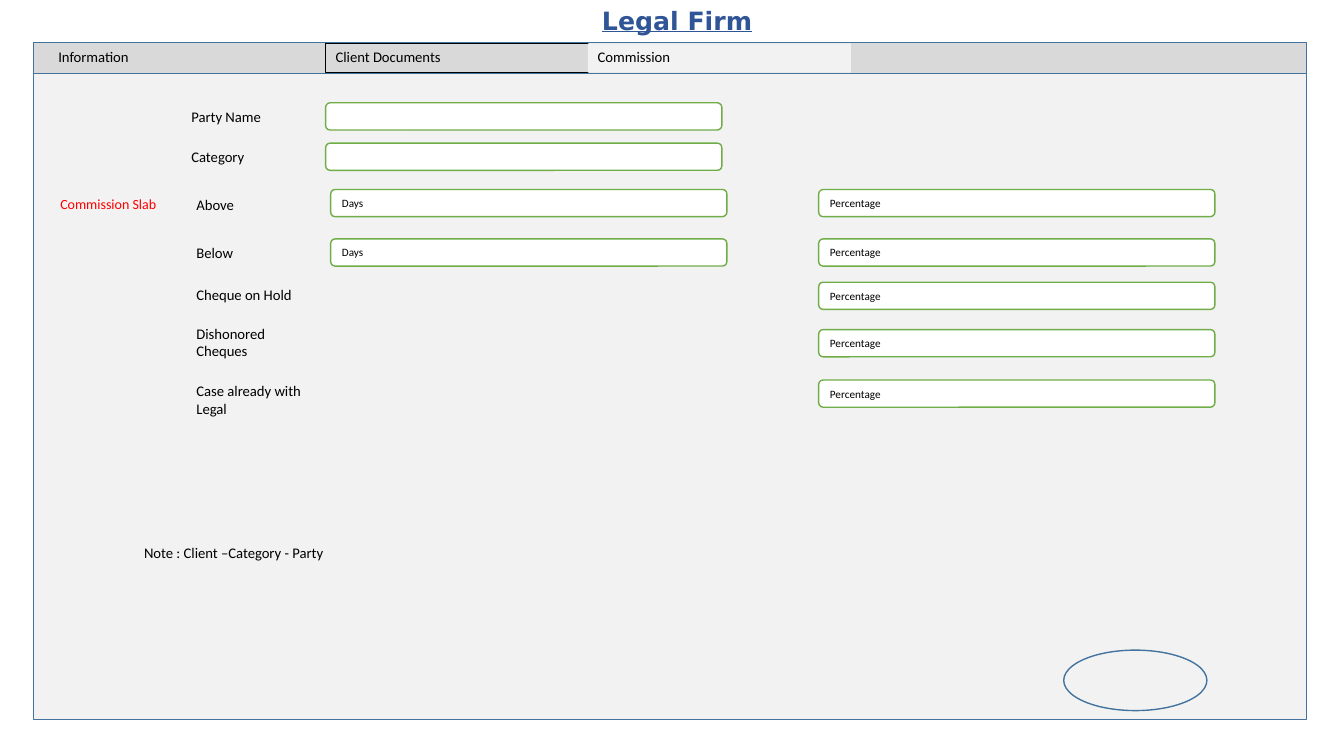
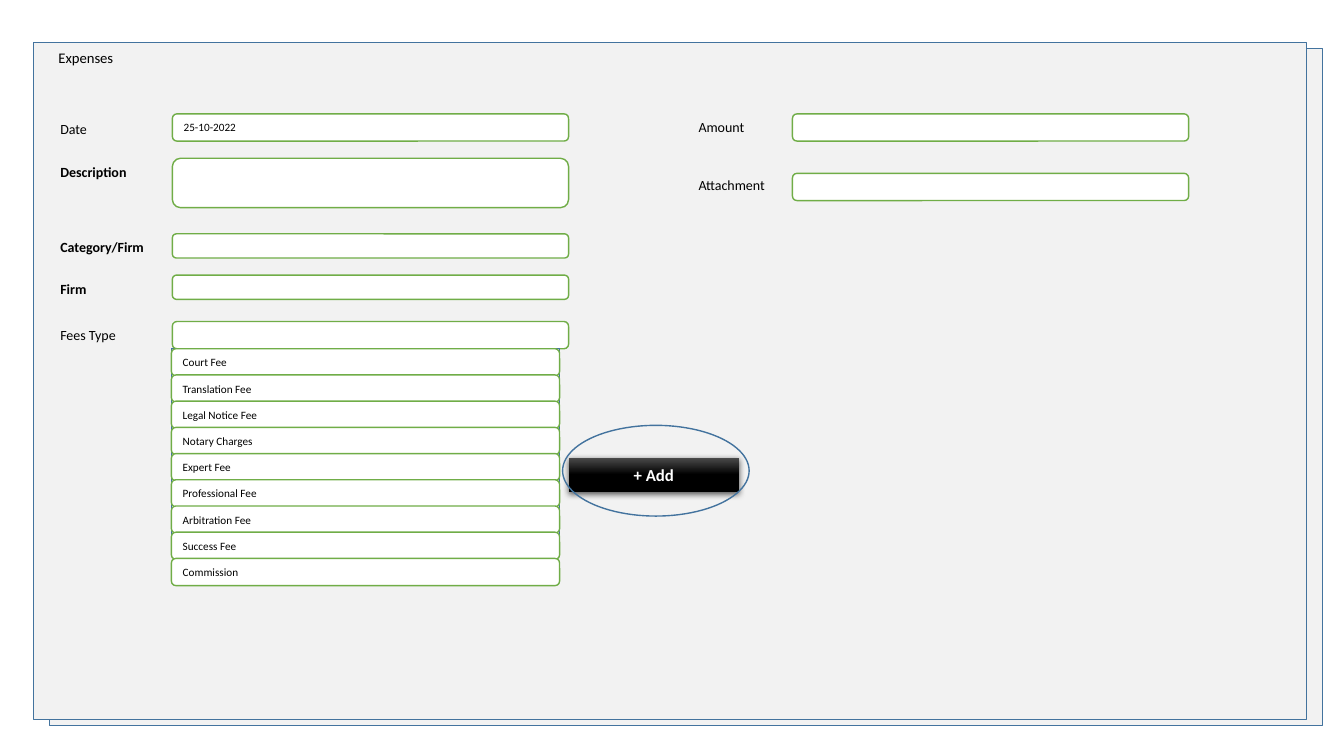
from lxml.etree import SubElement
from pptx import Presentation
from pptx.dml.color import RGBColor
from pptx.enum.shapes import MSO_SHAPE
from pptx.enum.text import MSO_ANCHOR, MSO_AUTO_SIZE, PP_ALIGN
from pptx.oxml.ns import qn
from pptx.util import Pt

PX = 9144  # one px is a hundredth of an inch


def emu(*sizes):
    return [size * PX for size in sizes]


def rgb(code):
    return RGBColor.from_string(code)


class Form:
    """Holds the form style and the slide being filled."""

    FONT, HEAD = "Calibri", "DejaVu Sans"
    INK, WHITE, RED, NAVY = "000000", "FFFFFF", "FF0000", "2F5597"
    PANEL, BAND, EDGE, GREEN = "F2F2F2", "D9D9D9", "43739E", "70AD47"
    LEFT, TOP, WIDE, TALL = 33, 42, 1263, 672

    def __init__(self):
        self.deck = Presentation()
        self.deck.slide_width, self.deck.slide_height = emu(1333, 750)

    def start(self):
        self.slide = self.deck.slides.add_slide(self.deck.slide_layouts[5])

    def words(self, shape, text, size=10.5, color=INK, bold=False, font=FONT,
              align=PP_ALIGN.LEFT, anchor=MSO_ANCHOR.TOP):
        frame = shape.text_frame
        frame.word_wrap = True
        frame.auto_size = MSO_AUTO_SIZE.NONE
        frame.vertical_anchor = anchor
        line = frame.paragraphs[0]
        line.alignment = align
        run = line.add_run()
        run.text = text
        run.font.name, run.font.size = font, Pt(size)
        run.font.bold, run.font.color.rgb = bold, rgb(color)
        return run

    def title(self, text, x, y, w, h, **style):
        """Fill the title placeholder and bring it to the front."""
        head = self.slide.shapes.title
        head.left, head.top, head.width, head.height = emu(x, y, w, h)
        self.slide.shapes.element.append(head.element)
        return self.words(head, text, **style)

    def box(self, x, y, w, h, fill=None, edge=None, weight=1,
            kind=MSO_SHAPE.RECTANGLE):
        shape = self.slide.shapes.add_shape(kind, *emu(x, y, w, h))
        shape.shadow.inherit = False
        if fill:
            shape.fill.solid()
            shape.fill.fore_color.rgb = rgb(fill)
        else:
            shape.fill.background()
        if edge:
            shape.line.color.rgb = rgb(edge)
            shape.line.width = Pt(weight)
        else:
            shape.line.fill.background()
        return shape

    def panel(self, dx=0, dy=0):
        self.box(self.LEFT + dx, self.TOP + dy, self.WIDE, self.TALL,
                 self.PANEL, self.EDGE)

    def tab(self, text, x, fill, edge=None):
        self.words(self.box(x, 43, 261, 29, fill, edge, 0.75), text)

    def field(self, x, y, text="", w=393, h=27):
        shape = self.box(x, y, w, h, self.WHITE, self.GREEN,
                         kind=MSO_SHAPE.ROUNDED_RECTANGLE)
        if text:
            self.words(shape, text, 8, anchor=MSO_ANCHOR.MIDDLE)

    def label(self, text, x, y, w=120, h=28, **style):
        self.words(self.slide.shapes.add_textbox(*emu(x, y, w, h)),
                   text, **style)

    def ring(self, x, y, w, h):
        self.box(x, y, w, h, edge=self.EDGE, kind=MSO_SHAPE.OVAL)

    def button(self, text, x, y, w, h):
        shape = self.box(x, y, w, h)
        shape.fill.gradient()
        shape.fill.gradient_angle = 270
        stops = shape.fill.gradient_stops
        for stop, place, code in zip(stops, (0, 0.5), ("4B4B4B", self.INK)):
            stop.position, stop.color.rgb = place, rgb(code)
        glow = SubElement(shape.element.spPr.find(qn("a:effectLst")),
                          qn("a:outerShdw"), blurRad="57150", dist="19050",
                          dir="5400000", algn="ctr", rotWithShape="0")
        tint = SubElement(glow, qn("a:srgbClr"), val=self.INK)
        SubElement(tint, qn("a:alpha"), val="63000")
        self.words(shape, text, 12, self.WHITE, True,
                   align=PP_ALIGN.CENTER, anchor=MSO_ANCHOR.MIDDLE)


def firm(form):
    form.start()
    form.panel()
    form.box(form.LEFT, form.TOP, form.WIDE, 31, form.BAND, form.EDGE)
    form.label("Information", 48, 43, 261)
    form.tab("Client Documents", 323, form.BAND, form.INK)
    form.tab("Commission", 583, form.PANEL)
    for text, y in (("Party Name", 102), ("Category", 142)):
        form.label(text, 180, y)
        form.field(323, y)
    form.label("Commission Slab", 50, 189, size=10, color=form.RED)
    slabs = (("Above", 189, 188, True), ("Below", 237, 237, True),
             ("Cheque on Hold", 279, 280, False),
             ("Dishonored Cheques", 317, 327, False),
             ("Case already with Legal", 374, 377, False))
    for text, y, top, days in slabs:
        form.label(text, 185, y, 137)
        if days:
            form.field(328, top, "Days")
        form.field(812, top, "Percentage")
    form.label("Note : Client –Category - Party", 133, 535, 538)
    form.ring(1055, 645, 142, 60)
    head = form.title("Legal Firm", 409, 0, 525, 40, size=18, bold=True,
                      color=form.NAVY, font=form.HEAD, align=PP_ALIGN.CENTER)
    head.font.underline = True


def costs(form):
    form.start()
    form.panel(16, 6)
    form.panel()
    form.title("Expenses", 48, 43, 261, 29)
    rows = (("Date", 115, 113, 27, "25-10-2022", False),
            ("Description", 157, 157, 49, "", True),
            ("Category/Firm", 232, 232, 24, "", True),
            ("Firm", 273, 273, 24, "", True),
            ("Fees Type", 319, 319, 27, "", False))
    for text, y, top, h, value, bold in rows:
        form.label(text, 50, y, size=10, bold=bold)
        form.field(171, top, value, h=h)
    form.button("+ Add", 564, 454, 169, 34)
    for text, y, top in (("Amount", 113, 113), ("Attachment", 170, 172)):
        form.label(text, 683, y, size=10)
        form.field(786, top)
    form.box(170, 346, 385, 186, form.PANEL, form.EDGE)
    fees = ("Court Fee", "Translation Fee", "Legal Notice Fee",
            "Notary Charges", "Expert Fee", "Professional Fee",
            "Arbitration Fee", "Success Fee", "Commission")
    for i, fee in enumerate(fees):
        form.field(170, 346 + 26 * i, fee, w=385)
    form.ring(558, 422, 185, 90)


def main():
    form = Form()
    firm(form)
    costs(form)
    form.deck.save("out.pptx")


if __name__ == "__main__":
    main()
